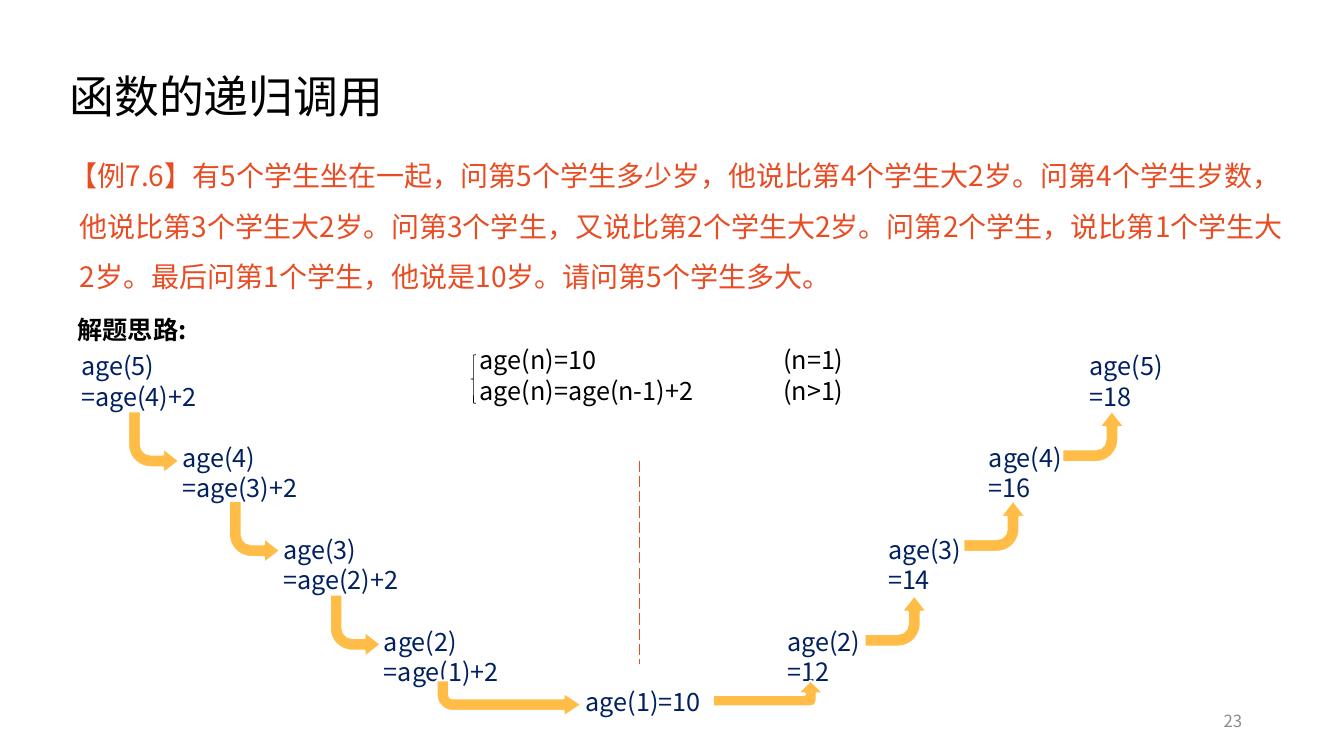
from dataclasses import dataclass

from lxml import etree
from pptx import Presentation, util as u
from pptx.dml.color import RGBColor
from pptx.enum import dml, shapes, text
from pptx.oxml import ns


@dataclass(frozen=True)
class Theme:
    font: str = "Noto Sans CJK SC"
    black: str = "000000"
    white: str = "FFFFFF"
    red: str = "E84C22"
    navy: str = "002060"
    gold: str = "FFBD47"
    gray: str = "8C8C8C"
    title: int = 32
    body: int = 20
    label: int = 18
    small: int = 12
    line: float = 1.2


PX = 9144
LEFT, RIGHT = text.PP_ALIGN.LEFT, text.PP_ALIGN.RIGHT
TOP, MIDDLE = text.MSO_ANCHOR.TOP, text.MSO_ANCHOR.MIDDLE


class Deck:
    def __init__(self, theme):
        self.theme = theme
        self.file = Presentation()
        self.file.slide_width = u.Inches(13.33)
        self.file.slide_height = u.Inches(7.5)
        self.slide = self.file.slides.add_slide(self.file.slide_layouts[6])

    def place(self, *nums):
        return [u.Emu(n * PX) for n in nums]

    def label(self, at, lines, size, color, bold=False, ratio=1.0,
              align=LEFT, anchor=TOP, hang=0, tab=0):
        frame = self.slide.shapes.add_textbox(*self.place(*at)).text_frame
        frame.word_wrap = True
        frame.vertical_anchor = anchor
        for i, words in enumerate(lines):
            para = frame.add_paragraph() if i else frame.paragraphs[0]
            para.alignment = align
            para.line_spacing = u.Pt(size * self.theme.line * ratio)
            props = para._p.get_or_add_pPr()
            if hang:
                props.set("marL", str(hang * PX))
                props.set("indent", str(-hang * PX))
            if tab:
                stops = etree.SubElement(props, ns.qn("a:tabLst"))
                etree.SubElement(stops, ns.qn("a:tab"), pos=str(tab * PX), algn="l")
            run = para.add_run()
            run.text = words
            font = run.font
            font.name = self.theme.font
            font.size = u.Pt(size)
            font.bold = bold
            font.color.rgb = RGBColor.from_string(color)
            east = etree.SubElement(run._r.get_or_add_rPr(), ns.qn("a:ea"))
            east.set("typeface", self.theme.font)

    def stroke(self, item, color, width):
        item.line.color.rgb = RGBColor.from_string(color)
        item.line.width = u.Pt(width)

    def brace(self, *at):
        item = self.slide.shapes.add_shape(
            shapes.MSO_SHAPE.LEFT_BRACE, *self.place(*at))
        item.shadow.inherit = False
        item.fill.background()
        self.stroke(item, self.theme.black, 0.5)

    def arrow(self, at, bends, turn=0):
        item = self.slide.shapes.add_shape(
            shapes.MSO_SHAPE.BENT_ARROW, *self.place(*at))
        item.shadow.inherit = False
        for i, bend in enumerate(bends):
            item.adjustments[i] = bend
        item.rotation = turn
        item._element.spPr.find(ns.qn("a:xfrm")).set("flipV", "1")
        item.fill.solid()
        item.fill.fore_color.rgb = RGBColor.from_string(self.theme.gold)
        self.stroke(item, self.theme.white, 1.5)

    def dashes(self, *ends):
        item = self.slide.shapes.add_connector(
            shapes.MSO_CONNECTOR.STRAIGHT, *self.place(*ends))
        self.stroke(item, self.theme.red, 1)
        item.line.dash_style = dml.MSO_LINE.LONG_DASH
        etree.SubElement(item._element.spPr, ns.qn("a:effectLst"))

    def save(self):
        self.file.save("out.pptx")


def main():
    look = Theme()
    deck = Deck(look)
    deck.label((59, 25, 1150, 145), ["函数的递归调用"], look.title, look.black,
               ratio=0.9, anchor=MIDDLE)
    puzzle = ("【例7.6】有5个学生坐在一起，问第5个学生多少岁，他说比第4个学生大2岁。"
              "问第4个学生岁数，他说比第3个学生大2岁。问第3个学生，又说比第2个学生大2岁。"
              "问第2个学生，说比第1个学生大2岁。最后问第1个学生，他说是10岁。"
              "请问第5个学生多大。")
    deck.label((59, 136, 1232, 160), [puzzle], look.body, look.red,
               ratio=1.5, hang=10)
    deck.label((67, 307, 300, 40), ["解题思路:"], look.label, look.black, bold=True)
    deck.label((466, 337, 450, 71), ["age(n)=10\t(n=1)", "age(n)=age(n-1)+2\t(n>1)"],
               look.label, look.black, tab=301)
    deck.brace(467, 352, 5, 48)

    for step in range(4):
        age = 5 - step
        top = 343 + 91 * step
        for left, value in ((71 + 100 * step, f"age({age - 1})+2"),
                            (1071 - 100 * step, 8 + 2 * age)):
            deck.label((left, top, 160, 71), [f"age({age})", f"={value}"],
                       look.label, look.navy)
    deck.label((571, 676, 160, 40), ["age(1)=10"], look.label, look.navy)
    deck.dashes(634, 457, 634, 659)

    curve = (0.25, 0.25, 0.32, 0.44)
    for step, (down, rise) in enumerate(((408, 402), (497, 491), (590, 585))):
        deck.arrow((127 + 100 * step, down, 51, 62), curve)
        deck.arrow((1059 - 98 * step, rise, 51, 62), curve, 270)
    deck.arrow((433, 675, 144, 36), (0.35, 0.33, 0.5, 0.44))
    deck.arrow((749, 633, 26, 110), (0.45, 0.5, 0.5, 0.23), 270)

    deck.label((942, 695, 300, 40), ["23"], look.small, look.gray,
               align=RIGHT, anchor=MIDDLE)
    deck.save()


if __name__ == "__main__":
    main()
